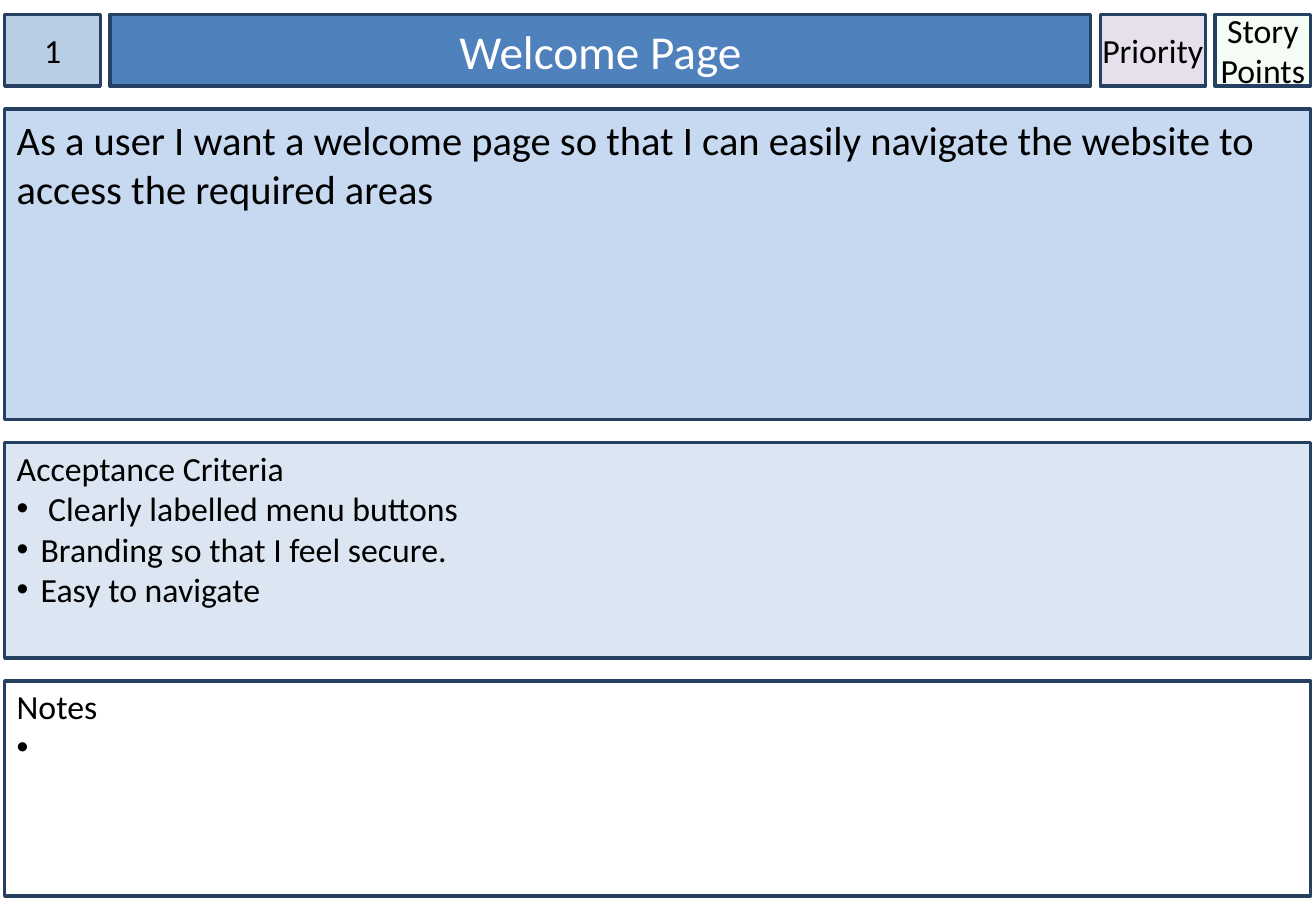
from pptx import Presentation
from pptx.dml.color import RGBColor
from pptx.enum.shapes import MSO_SHAPE as Kind
from pptx.enum.text import MSO_ANCHOR as Anchor, PP_ALIGN as Align
from pptx.oxml.ns import qn
from pptx.util import Cm, Pt
from lxml.etree import SubElement as add_sub

# Header cells: text, width, fill, opacity %, text colour, size, side inset, wrap
HEAD = [
    ("1", 2.0, "B9CDE5", 100, "000000", 20, 0, True),
    ("Welcome Page", 20.5, "4F81BD", 100, "FFFFFF", 28, 0.25, True),
    ("Priority", 2.2, "E6E0EC", 100, "000000", 20, 0, False),
    ("Story Points", 2.0, "CCF0CD", 20, "000000", 20, 0, True),
]
# Panels: heading, bullets, height, fill, size, top inset
PANELS = [
    ("As a user I want a welcome page so that I can easily navigate "
     "the website to access the required areas", [], 6.5, "C6D9F1", 24, 0.13),
    ("Acceptance Criteria",
     [" Clearly labelled menu buttons", "Branding so that I feel secure.",
      "Easy to navigate"], 4.5, "DCE6F2", 20, 0.1),
    ("Notes", [" "], 4.5, "FFFFFF", 20, 0.1),
]
LEFT, TOP, HEAD_H = 0.1, 0.3, 1.5
COL_GAP, ROW_GAP, INDENT = 0.2, 0.48, 0.5
EDGE, INK, FONT = "254061", "000000", "Calibri"


def paint(fill, color):
    """Fill with one solid colour given as a hex string."""
    fill.solid()
    fill.fore_color.rgb = RGBColor.from_string(color)


def fade(shape, share):
    """Set the opacity of a solid fill in percent."""
    tint = shape._element.spPr.find(qn("a:solidFill"))[0]
    add_sub(tint, qn("a:alpha"), val=str(share * 1000))


def add_box(slide, x, y, w, h, color, side, top, anchor):
    """Add an outlined box and return it."""
    box = slide.shapes.add_shape(Kind.RECTANGLE, Cm(x), Cm(y), Cm(w), Cm(h))
    box.shadow.inherit = False
    paint(box.fill, color)
    paint(box.line.fill, EDGE)
    box.line.width = Pt(2)
    frame = box.text_frame
    frame.word_wrap = True
    frame.vertical_anchor = anchor
    frame.margin_left = frame.margin_right = Cm(side)
    frame.margin_top, frame.margin_bottom = Cm(top), Cm(0.13)
    return box


def write(para, text, size, color, align):
    """Put styled text in a paragraph."""
    para.text, para.alignment = text, align
    para.font.name, para.font.size = FONT, Pt(size)
    para.font.color.rgb = RGBColor.from_string(color)
    for run in para.runs:
        run.font.name, run.font.size = FONT, Pt(size)
        run.font.color.rgb = RGBColor.from_string(color)


def add_dot(para):
    """Give a paragraph a hanging bullet."""
    props = para._p.get_or_add_pPr()
    props.set("marL", str(Cm(INDENT)))
    props.set("indent", str(-Cm(INDENT)))
    dot = props.makeelement(qn("a:buChar"), {"char": "•"})
    font = props.makeelement(qn("a:buFont"), {"typeface": "Arial"})
    props.insert(0, font)
    props.insert(1, dot)


deck = Presentation()
deck.slide_width, deck.slide_height = Cm(27.51), Cm(19.05)
card = deck.slides.add_slide(deck.slide_layouts[6])

x = LEFT
for text, width, color, share, ink, size, side, wrap in HEAD:
    cell = add_box(card, x, TOP, width, HEAD_H, color, side, 0.13, Anchor.MIDDLE)
    cell.text_frame.word_wrap = wrap
    if share < 100:
        fade(cell, share)
    write(cell.text_frame.paragraphs[0], text, size, ink, Align.CENTER)
    x += width + COL_GAP

full = x - COL_GAP - LEFT
y = TOP + HEAD_H + ROW_GAP
for title, items, height, color, size, top in PANELS:
    panel = add_box(card, LEFT, y, full, height, color, 0.25, top, Anchor.TOP)
    frame = panel.text_frame
    write(frame.paragraphs[0], title, size, INK, Align.LEFT)
    for item in items:
        para = frame.add_paragraph()
        write(para, item, size, INK, Align.LEFT)
        add_dot(para)
    y += height + ROW_GAP

deck.save("out.pptx")
